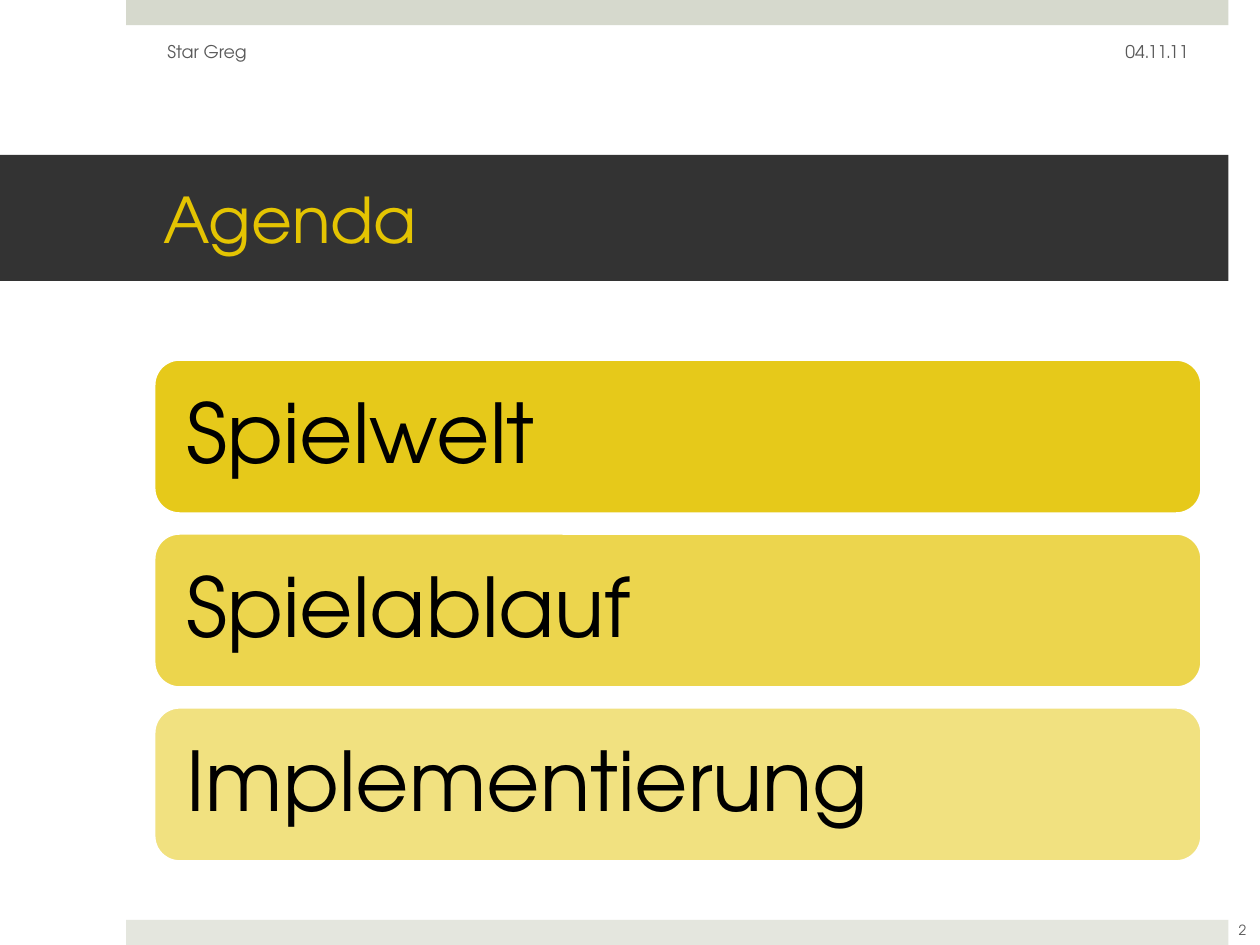
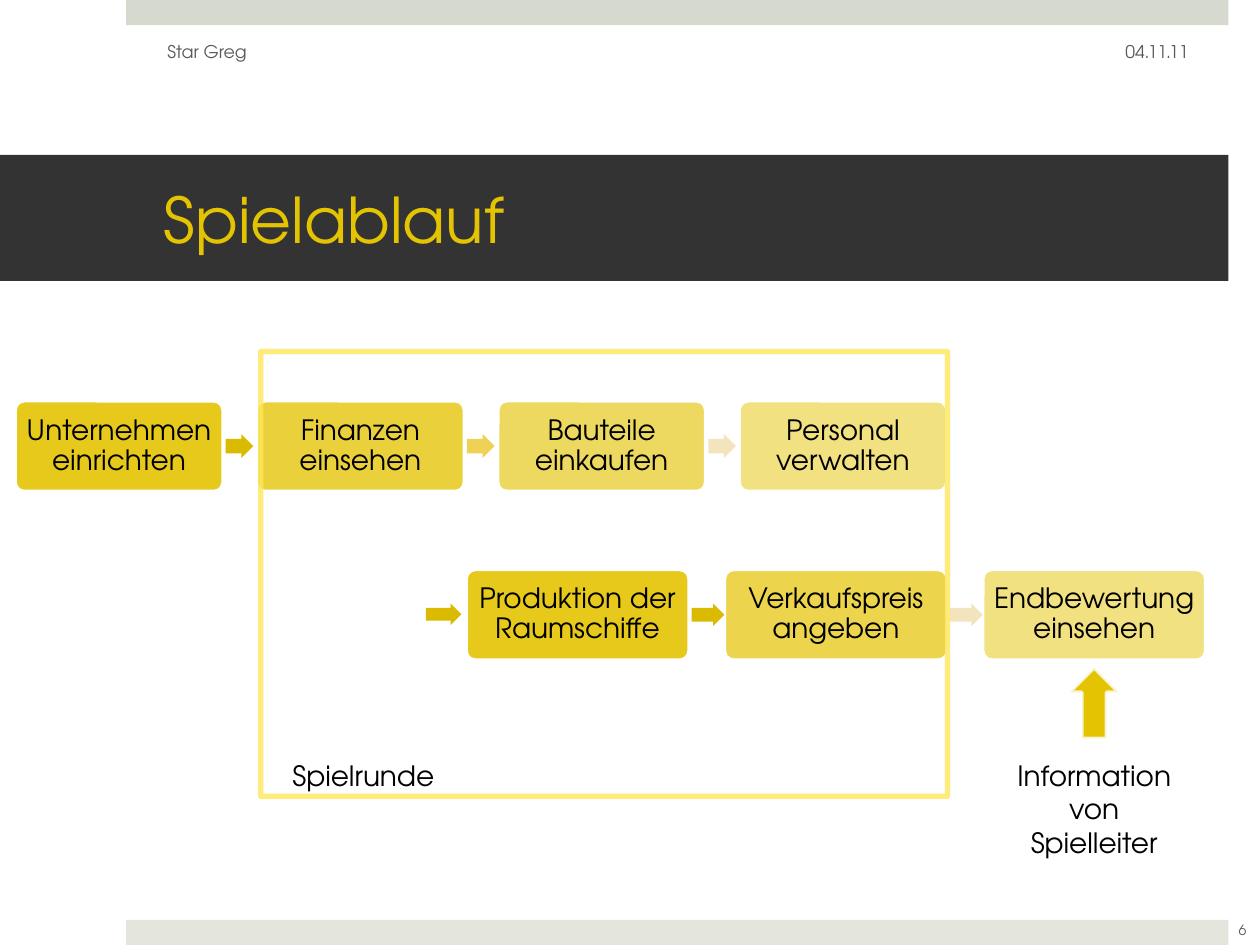
"""Build the agenda and game flow slides of the Star Greg presentation."""
from lxml import etree
from pptx import Presentation
from pptx import util as u
from pptx.dml.color import RGBColor
from pptx.enum import shapes, text
from pptx.oxml import ns

Pt = u.Pt
SHAPE = shapes.MSO_SHAPE
ALIGN = text.PP_ALIGN
ANCHOR = text.MSO_ANCHOR
FONT = "TeX Gyre Adventor"
COLORS = {
    "white": "FFFFFF", "black": "000000", "grey": "595959", "dark": "333333",
    "top": "D6D9CD", "bottom": "E4E6DE", "yellow": "E4C402", "frame": "FEE658",
    "arrow": "DABB02", "arrow_mid": "EFD156", "arrow_pale": "F2E4BC",
}


def paint(fill, color, opacity=100):
    """Make a fill solid, with an opacity in percent."""
    fill.solid()
    fill.fore_color.rgb = RGBColor.from_string(COLORS[color])
    if opacity < 100:
        clr = fill._xPr.find(".//" + ns.qn("a:srgbClr"))
        etree.SubElement(clr, ns.qn("a:alpha"), val=str(round(opacity * 1000)))


def write(sp, words, size, color="black", align=ALIGN.LEFT, anchor=ANCHOR.MIDDLE,
          insets=(7.2, 3.6, 7.2, 3.6), spacing=None):
    """Put one formatted paragraph into a shape."""
    tf = sp.text_frame
    tf.word_wrap = True
    tf.vertical_anchor = anchor
    tf.margin_left, tf.margin_top, tf.margin_right, tf.margin_bottom = map(Pt, insets)
    tf.text = words
    p = tf.paragraphs[0]
    p.alignment = align
    p.line_spacing = spacing
    r = p.runs[0]
    r.font.name = FONT
    r.font.size = Pt(size)
    r.font.color.rgb = RGBColor.from_string(COLORS[color])


def add_shape(s, kind, box, fill=None, opacity=100, line=None, width=2,
              line_opacity=100, adjust=()):
    """Add a flat preset shape; box is left, top, width, height."""
    sp = s.shapes.add_shape(kind, *map(Pt, box))
    sp.shadow.inherit = False
    for i, value in enumerate(adjust):
        sp.adjustments[i] = value
    if fill:
        paint(sp.fill, fill, opacity)
    else:
        sp.fill.background()
    if line:
        paint(sp.line.fill, line, line_opacity)
        sp.line.width = Pt(width)
    else:
        sp.line.fill.background()
    return sp


def add_text(s, box, words, size, **style):
    """Add a text box."""
    write(s.shapes.add_textbox(*map(Pt, box)), words, size, **style)


def add_arrow(s, box, color):
    """Add a small arrow pointing right."""
    add_shape(s, SHAPE.RIGHT_ARROW, box, color, adjust=(0.6, 0.5))


def fade(count):
    """List opacities that fall evenly from 90 to 50 percent."""
    return [90 - 40 * i / (count - 1) for i in range(count)]


def add_slide(prs, title, number):
    """Add a slide with its bands, title, header and number."""
    s = prs.slides.add_slide(prs.slide_layouts[6])
    add_shape(s, SHAPE.RECTANGLE, (72, 0, 630, 14.4), "top")
    add_shape(s, SHAPE.RECTANGLE, (72, 525.6, 630, 14.4), "bottom")
    band = add_shape(s, SHAPE.RECTANGLE, (0, 88.56, 702, 72), "dark")
    write(band, title, 36, "yellow", insets=(93.6, 3.6, 21.6, 3.6))
    add_text(s, (518.4, 15.1, 167.8, 28.8), "04.11.11", 10, color="grey",
             align=ALIGN.RIGHT)
    add_text(s, (88.56, 15.1, 228.2, 28.8), "Star Greg", 10, color="grey")
    add_text(s, (700, 517, 20, 28.8 - 6), str(number), 8, color="grey",
             align=ALIGN.CENTER, insets=(0, 6, 0, 0))
    return s


def add_agenda(s, topics):
    """Stack the agenda topics as fading bars."""
    for i, (topic, opacity) in enumerate(zip(topics, fade(len(topics)))):
        box = (87.84, 205.2 + i * 99.4, 599, 88.56)
        sp = add_shape(s, SHAPE.ROUNDED_RECTANGLE, box, "yellow", opacity, "white")
        write(sp, topic, 47, insets=(14.4,) * 4, spacing=0.9)


def add_flow(s, steps, left, top, width, pitch, arrow_size, arrow_colors):
    """Lay out a row of fading steps with arrows in the gaps."""
    height = 51.84
    arrow_w, arrow_h = arrow_size
    for i, (step, opacity) in enumerate(zip(steps, fade(len(steps)))):
        sp = add_shape(s, SHAPE.ROUNDED_RECTANGLE,
                       (left + i * pitch, top, width, height),
                       "yellow", opacity, "white", adjust=(0.1,))
        write(sp, step, 16, align=ALIGN.CENTER, insets=(4.9,) * 4, spacing=0.9)
    for i, color in enumerate(arrow_colors):
        add_arrow(s, (left + i * pitch + width + 1.5, top + (height - arrow_h) / 2,
                      arrow_w, arrow_h), color)


def add_game_round(s):
    """Draw the game flow, the frame of one round and the final note."""
    add_flow(s, ["Unternehmen einrichten", "Finanzen einsehen",
                 "Bauteile einkaufen", "Personal verwalten"],
             8.64, 229, 118.8, 137.9, (15.8, 13.7),
             ["arrow", "arrow_mid", "arrow_pale"])
    add_shape(s, SHAPE.UP_ARROW, (611.3, 381.6, 28, 40.3), "yellow",
              line="white", line_opacity=80)
    add_text(s, (570.2, 429.8, 110.2, 65.5), "Information von Spielleiter", 16,
             align=ALIGN.CENTER, anchor=ANCHOR.TOP)
    add_flow(s, ["Produktion der Raumschiffe", "Verkaufspreis angeben",
                 "Endbewertung einsehen"],
             266.4, 325.4, 127.4, 147.6, (18.7, 13), ["arrow", "arrow_pale"])
    add_shape(s, SHAPE.RECTANGLE, (149, 200.9, 392.4, 254.2), line="frame", width=3,
              line_opacity=80)
    add_arrow(s, (243.4, 344.9, 20.2, 12.2), "arrow")
    add_text(s, (149, 429.8, 117.4, 26.6), "Spielrunde", 16,
             align=ALIGN.CENTER, anchor=ANCHOR.TOP)


def main():
    """Create and save the presentation."""
    prs = Presentation()
    prs.slide_width, prs.slide_height = Pt(720), Pt(540)
    add_agenda(add_slide(prs, "Agenda", 2),
               ["Spielwelt", "Spielablauf", "Implementierung"])
    add_game_round(add_slide(prs, "Spielablauf", 6))
    prs.save("out.pptx")


if __name__ == "__main__":
    main()
